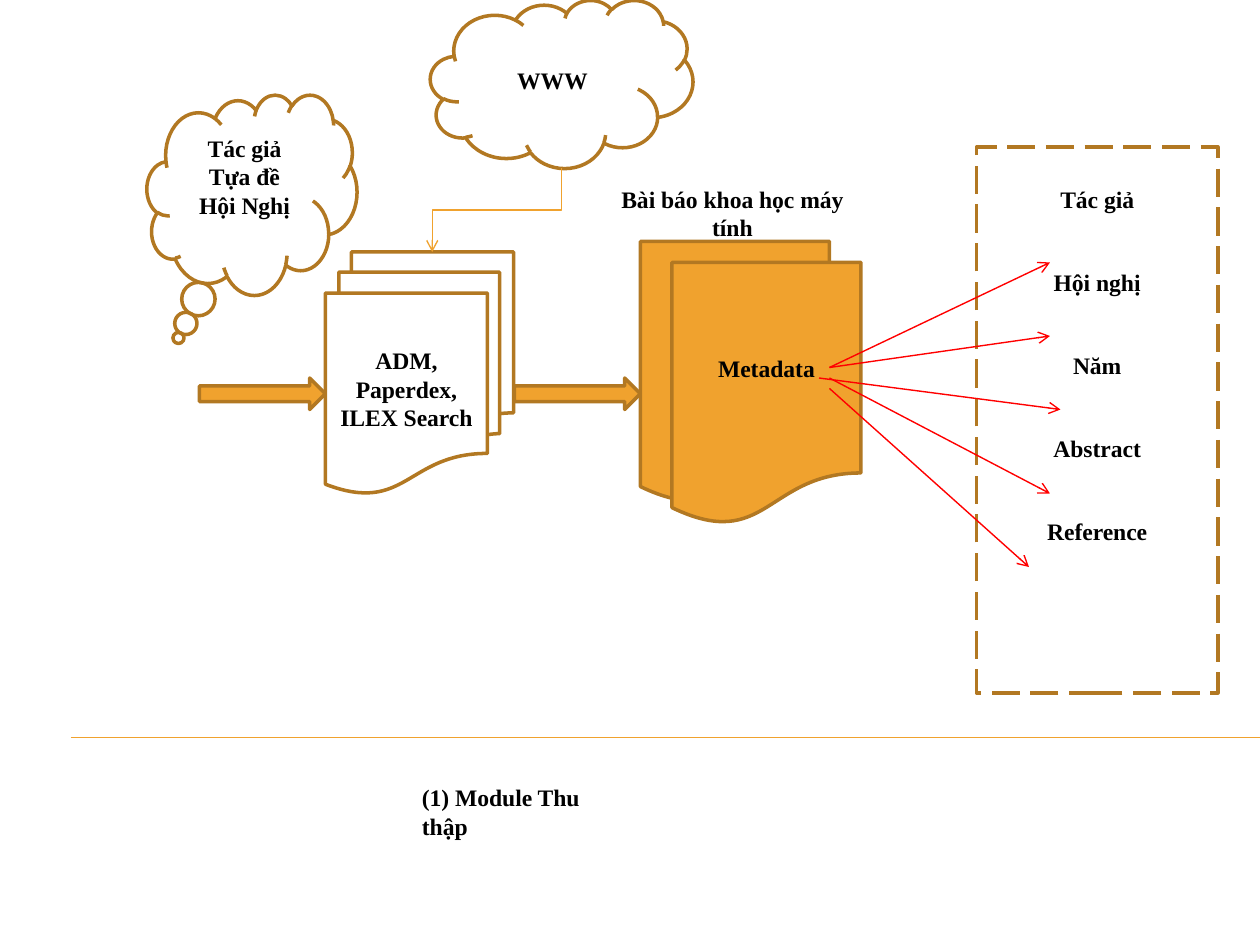
"""Build the slide of the collecting module: sources, papers and metadata."""
from dataclasses import dataclass

from lxml import etree
from pptx import Presentation
from pptx.dml.color import RGBColor
from pptx.enum.dml import MSO_LINE
from pptx.enum.shapes import MSO_CONNECTOR, MSO_SHAPE
from pptx.enum.text import MSO_ANCHOR, MSO_AUTO_SIZE, PP_ALIGN
from pptx.oxml.ns import qn
from pptx.util import Pt

CENTER, MIDDLE = PP_ALIGN.CENTER, MSO_ANCHOR.MIDDLE
FIT_SHAPE = MSO_AUTO_SIZE.SHAPE_TO_FIT_TEXT
STRAIGHT, ELBOW = MSO_CONNECTOR.STRAIGHT, MSO_CONNECTOR.ELBOW
LONG_DASH = MSO_LINE.LONG_DASH
CLOUD, THOUGHT = MSO_SHAPE.CLOUD, MSO_SHAPE.CLOUD_CALLOUT
PAPER, PAPERS = MSO_SHAPE.FLOWCHART_DOCUMENT, MSO_SHAPE.FLOWCHART_MULTIDOCUMENT
BLOCK_ARROW, RECTANGLE = MSO_SHAPE.RIGHT_ARROW, MSO_SHAPE.RECTANGLE


@dataclass(frozen=True)
class Theme:
    """Colours, font and sizes of the slide."""
    accent: RGBColor = RGBColor(0xF0, 0xA2, 0x2E)
    outline: RGBColor = RGBColor(0xB2, 0x78, 0x22)
    pointer: RGBColor = RGBColor(0xFF, 0x00, 0x00)
    text: RGBColor = RGBColor(0x00, 0x00, 0x00)
    font: str = "Times New Roman"
    size: float = 13.5
    row: float = 15.6
    outline_width: float = 2
    line_width: float = 0.79
    rule_width: float = 0.75


THEME = Theme()


def write(frame, lines, gap=0, align=CENTER):
    """Fill a text frame with one bold paragraph per line."""
    frame.text = "\n".join(lines)
    for index, para in enumerate(frame.paragraphs):
        para.alignment = align
        para.space_before = Pt(gap if index else 0)
        for span in para.runs:
            span.font.name = THEME.font
            span.font.size = Pt(THEME.size)
            span.font.bold = True
            span.font.color.rgb = THEME.text


def add_figure(page, kind, bounds, lines=(), filled=False, gap=0, lift=0):
    """Add an outlined shape whose text is raised by lift points."""
    figure = page.shapes.add_shape(kind, *map(Pt, bounds))
    figure.shadow.inherit = False
    if filled:
        figure.fill.solid()
        figure.fill.fore_color.rgb = THEME.accent
    else:
        figure.fill.background()
    figure.line.color.rgb = THEME.outline
    figure.line.width = Pt(THEME.outline_width)
    if lines:
        frame = figure.text_frame
        frame.vertical_anchor = MIDDLE
        frame.margin_bottom = Pt(3.6 + 2 * lift)
        write(frame, lines, gap)
    return figure


def add_label(page, bounds, text, align):
    """Add a one-line text box."""
    box = page.shapes.add_textbox(*map(Pt, bounds))
    box.text_frame.word_wrap = False
    box.text_frame.auto_size = FIT_SHAPE
    write(box.text_frame, [text], align=align)


def add_line(page, start, end, color, width, kind=STRAIGHT, arrow=True):
    """Add a connector without shadow, with an optional open arrowhead."""
    line = page.shapes.add_connector(kind, *map(Pt, start + end))
    line.line.color.rgb = color
    line.line.width = Pt(width)
    if arrow:
        outline = line.line._get_or_add_ln()
        etree.SubElement(outline, qn("a:tailEnd"), type="arrow")
    etree.SubElement(line._element.spPr, qn("a:effectLst"))
    return line


def add_drop(page, start, end):
    """Add an elbow arrow that leaves downwards and turns twice."""
    middle_x, middle_y = (start[0] + end[0]) / 2, (start[1] + end[1]) / 2
    half_fall, half_run = (end[1] - start[1]) / 2, (start[0] - end[0]) / 2
    line = add_line(page, (middle_x - half_fall, middle_y - half_run),
                    (middle_x + half_fall, middle_y + half_run),
                    THEME.accent, THEME.line_width, ELBOW)
    line._element.spPr.find(qn("a:xfrm")).set("rot", "5400000")


def add_sources(page):
    """Add the paper libraries, the search terms and the web cloud."""
    add_figure(page, PAPERS, (186, 144, 107.5, 138),
               ["ADM, Paperdex, ILEX Search"])
    add_label(page, (234, 444, 132, 23), "(1) Module Thu thập", PP_ALIGN.LEFT)
    terms = add_figure(page, THOUGHT, (84, 54, 120, 114.5),
                       ["Tác giả", "Tựa đề", "Hội Nghị"], lift=THEME.row / 2)
    terms.adjustments[0], terms.adjustments[1] = -0.35, 0.715
    add_figure(page, CLOUD, (246, 0, 150, 96), ["WWW"])
    add_drop(page, (321, 96), (247, 144))


def add_metadata(page):
    """Add the collected papers, their fields and the pointers to them."""
    add_figure(page, PAPER, (366, 138, 108, 150), filled=True)
    add_label(page, (336, 102, 165, 23), "Bài báo khoa học máy tính", CENTER)
    add_figure(page, PAPER, (384, 150, 108, 150), ["Metadata"], filled=True)
    for left in (114, 294):
        add_figure(page, BLOCK_ARROW, (left, 216, 72, 18), filled=True)
    fields = add_figure(
        page, RECTANGLE, (558, 84, 138, 312),
        ["Tác giả", "Hội nghị", "Năm", "Abstract", "Reference"],
        gap=2 * THEME.row, lift=2 * THEME.row)
    fields.line.dash_style = LONG_DASH
    pointers = [((474, 210), (600, 150)), ((474, 210), (600, 192)),
                ((468, 216), (606, 234)), ((474, 216), (600, 282)),
                ((474, 222), (588, 324))]
    for start, end in pointers:
        add_line(page, start, end, THEME.pointer, THEME.line_width)


def main():
    """Create the deck and save it."""
    deck = Presentation()
    deck.slide_width, deck.slide_height = Pt(720), Pt(540)
    page = deck.slides.add_slide(deck.slide_layouts[6])
    add_line(page, (40.5, 421.5), (720, 421.5), THEME.accent,
             THEME.rule_width, arrow=False)
    add_sources(page)
    add_metadata(page)
    deck.save("out.pptx")


if __name__ == "__main__":
    main()
